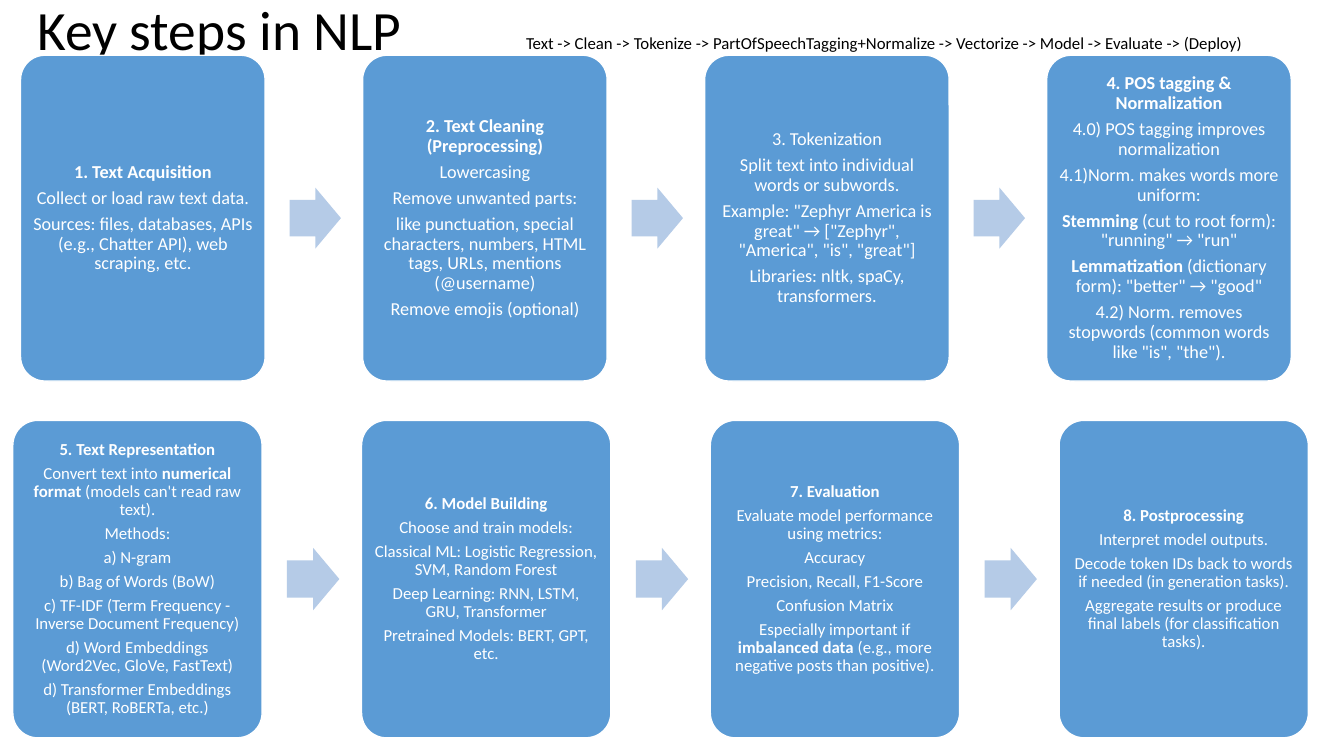
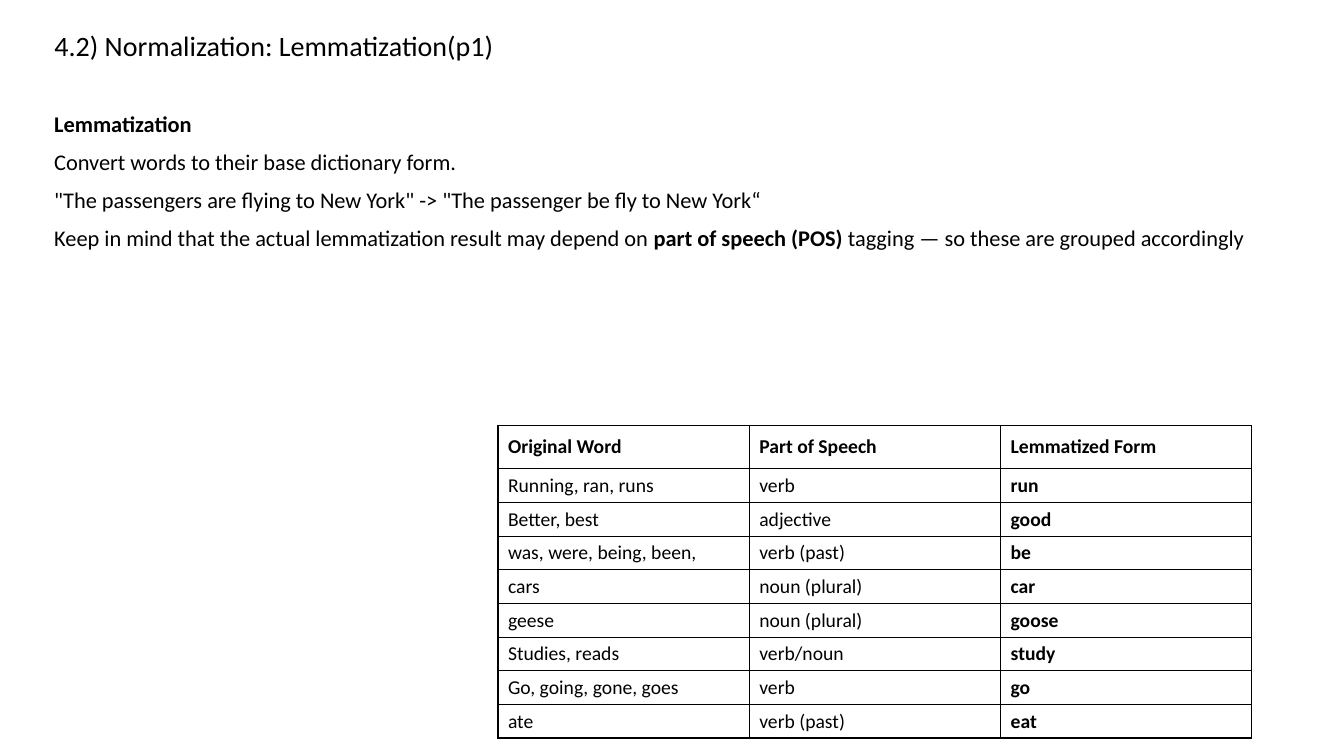
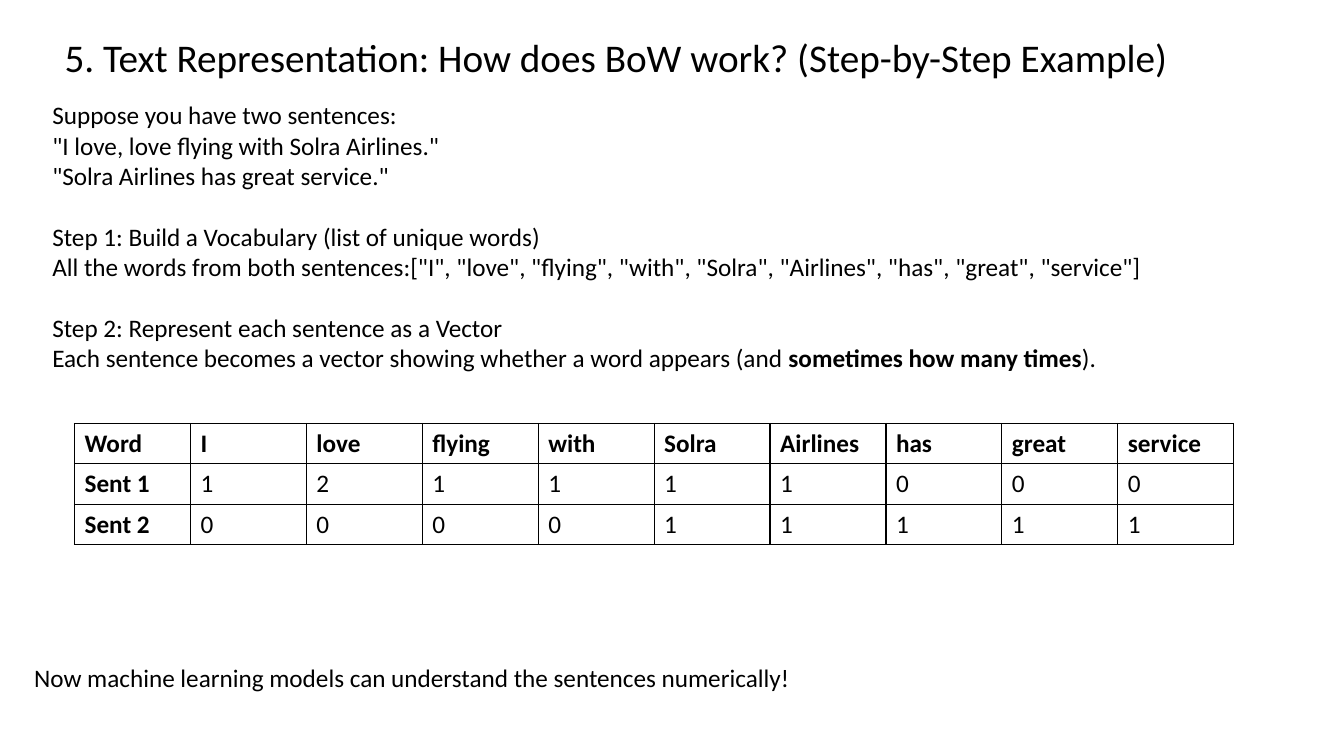
"""Build three slides on the key steps of natural language processing."""
from collections.abc import Sequence
from dataclasses import dataclass

from lxml import etree
from pptx import Presentation
from pptx.dml.color import RGBColor
from pptx.enum.shapes import MSO_SHAPE
from pptx.enum.text import MSO_ANCHOR, MSO_AUTO_SIZE, PP_ALIGN
from pptx.oxml.ns import qn
from pptx.slide import Slide
from pptx.table import _Cell
from pptx.text.text import TextFrame
from pptx.util import Emu, Inches, Pt

LEFT, CENTER = PP_ALIGN.LEFT, PP_ALIGN.CENTER
TOP, MIDDLE = MSO_ANCHOR.TOP, MSO_ANCHOR.MIDDLE
NO_AUTOFIT = MSO_AUTO_SIZE.NONE
ROUNDED_RECTANGLE = MSO_SHAPE.ROUNDED_RECTANGLE
RIGHT_ARROW = MSO_SHAPE.RIGHT_ARROW
SLIDE_WIDTH, SLIDE_HEIGHT = Inches(13.33), Inches(7.5)
TITLE_ONLY = 5


@dataclass(frozen=True)
class Theme:
    """Colours, font and type sizes shared by the slides."""

    font: str = "Calibri"
    ink: str = "000000"
    paper: str = "FFFFFF"
    card: str = "5B9BD5"
    arrow: str = "B5CBE7"
    cover_title: float = 39.6
    example_title: float = 28
    topic_title: float = 20
    example: float = 18
    body: float = 16
    table: float = 14
    first_steps: float = 13
    small: float = 12
    tight: float = 0.9


THEME = Theme()


@dataclass(frozen=True)
class Box:
    """A place on the slide, in percent of its width and height."""

    left: float
    top: float
    width: float
    height: float

    def lengths(self) -> tuple[Emu, Emu, Emu, Emu]:
        """Return left, top, width and height as slide lengths."""
        return (across(self.left), down(self.top),
                across(self.width), down(self.height))


@dataclass(frozen=True)
class StepRow:
    """A row of step cards joined by arrows."""

    first: Box
    pitch: float
    size: float
    cards: tuple[tuple[str, ...], ...]


@dataclass(frozen=True)
class Grid:
    """A bordered table with a bold header and one bold column."""

    box: Box
    header_height: float
    row_height: float
    size: float
    bold_column: int
    rows: tuple[Sequence[str], ...]


STEP_ROWS = (
    StepRow(Box(1.53, 7.3, 18.2, 43.1), 25.45, THEME.first_steps, (
        ("**1. Text Acquisition**",
         "Collect or load raw text data.",
         "Sources: files, databases, APIs (e.g., Chatter API), web scraping, etc."),
        ("**2. Text Cleaning (Preprocessing)**",
         "Lowercasing",
         "Remove unwanted parts:",
         "like punctuation, special characters, numbers, HTML tags, URLs, "
         "mentions (@username)",
         "Remove emojis (optional)"),
        ("3. Tokenization",
         "Split text into individual words or subwords.",
         'Example: "Zephyr America is great" → ["Zephyr", "America", "is", "great"]',
         "Libraries: nltk, spaCy, transformers."),
        ("**4. POS tagging & Normalization**",
         "4.0) POS tagging improves normalization",
         "4.1)Norm. makes words more uniform:",
         '**Stemming** (cut to root form): "running" → "run"',
         '**Lemmatization** (dictionary form): "better" → "good"',
         '4.2) Norm. removes stopwords (common words like "is", "the").'),
    )),
    StepRow(Box(0.95, 55.6, 18.55, 42), 25.95, THEME.small, (
        ("**5. Text Representation**",
         "Convert text into **numerical format** (models can't read raw text).",
         "Methods:",
         "a) N-gram",
         "b) Bag of Words (BoW)",
         "c) TF-IDF (Term Frequency - Inverse Document Frequency)",
         "d) Word Embeddings (Word2Vec, GloVe, FastText)",
         "d) Transformer Embeddings (BERT, RoBERTa, etc.)"),
        ("**6. Model Building**",
         "Choose and train models:",
         "Classical ML: Logistic Regression, SVM, Random Forest",
         "Deep Learning: RNN, LSTM, GRU, Transformer",
         "Pretrained Models: BERT, GPT, etc."),
        ("**7. Evaluation**",
         "Evaluate model performance using metrics:",
         "Accuracy",
         "Precision, Recall, F1-Score",
         "Confusion Matrix",
         "Especially important if **imbalanced data** "
         "(e.g., more negative posts than positive)."),
        ("**8. Postprocessing**",
         "Interpret model outputs.",
         "Decode token IDs back to words if needed (in generation tasks).",
         "Aggregate results or produce final labels (for classification tasks)."),
    )),
)

LEMMA_GRID = Grid(Box(37.05, 56.27, 56.1, 41.35), 5.75, 4.45, THEME.table, 2, (
    ("Original Word", "Part of Speech", "Lemmatized Form"),
    ("Running, ran, runs", "verb", "run"),
    ("Better, best", "adjective", "good"),
    ("was, were, being, been,", "verb (past)", "be"),
    ("cars", "noun (plural)", "car"),
    ("geese", "noun (plural)", "goose"),
    ("Studies, reads", "verb/noun", "study"),
    ("Go, going, gone, goes", "verb", "go"),
    ("ate", "verb (past)", "eat"),
))

VECTOR_GRID = Grid(Box(5.55, 56, 86.25, 16.05), 5.35, 5.35, THEME.example, 0, (
    ("Word", "I", "love", "flying", "with", "Solra", "Airlines", "has", "great",
     "service"),
    ("Sent 1", *"121111000"),
    ("Sent 2", *"000011111"),
))


def across(percent: float) -> Emu:
    """Turn a percentage of the slide width into a length."""
    return Emu(round(SLIDE_WIDTH * percent / 100))


def down(percent: float) -> Emu:
    """Turn a percentage of the slide height into a length."""
    return Emu(round(SLIDE_HEIGHT * percent / 100))


def write_text(frame: TextFrame, paragraphs: Sequence[str], *, size: float,
               color: str = THEME.ink, align: PP_ALIGN = LEFT,
               line_spacing: float = 1.0, space_before: float = 0,
               space_after: float = 0, section_starts: Sequence[int] = (),
               section_gap: float = 0) -> None:
    """Write paragraphs, setting the parts between double asterisks in bold."""
    for index, text in enumerate(paragraphs):
        paragraph = frame.add_paragraph() if index else frame.paragraphs[0]
        paragraph.alignment = align
        paragraph.line_spacing = line_spacing
        gap = section_gap if index in section_starts else space_before
        paragraph.space_before = Pt(gap if index else 0)
        paragraph.space_after = Pt(space_after)
        for part, content in enumerate(text.split("**")):
            if content:
                run = paragraph.add_run()
                run.text = content
                run.font.name = THEME.font
                run.font.size = Pt(size)
                run.font.bold = part % 2 == 1
                run.font.color.rgb = RGBColor.from_string(color)


def add_titled_slide(presentation: Presentation, title: str, box: Box,
                     size: float) -> Slide:
    """Add a slide and place its title."""
    slide = presentation.slides.add_slide(presentation.slide_layouts[TITLE_ONLY])
    shape = slide.shapes.title
    shape.left, shape.top, shape.width, shape.height = box.lengths()
    shape.text_frame.auto_size = NO_AUTOFIT
    shape.text_frame.word_wrap = True
    shape.text_frame.vertical_anchor = MIDDLE
    write_text(shape.text_frame, [title], size=size, line_spacing=THEME.tight)
    return slide


def add_text(slide: Slide, box: Box, paragraphs: Sequence[str], *,
             wrap: bool = True, **text_format) -> None:
    """Add a text box."""
    frame = slide.shapes.add_textbox(*box.lengths()).text_frame
    frame.word_wrap = wrap
    frame.vertical_anchor = TOP
    write_text(frame, paragraphs, **text_format)


def add_card(slide: Slide, box: Box, paragraphs: Sequence[str],
             size: float) -> None:
    """Add a rounded card holding one step."""
    shape = slide.shapes.add_shape(ROUNDED_RECTANGLE, *box.lengths())
    shape.adjustments[0] = 0.1
    shape.shadow.inherit = False
    shape.fill.solid()
    shape.fill.fore_color.rgb = RGBColor.from_string(THEME.card)
    shape.line.color.rgb = RGBColor.from_string(THEME.paper)
    shape.line.width = Pt(1)
    frame = shape.text_frame
    frame.word_wrap = True
    frame.vertical_anchor = MIDDLE
    frame.margin_left = frame.margin_right = Inches(0.05)
    frame.margin_top = frame.margin_bottom = Inches(0.05)
    write_text(frame, paragraphs, size=size, color=THEME.paper, align=CENTER,
               line_spacing=THEME.tight, space_after=0.35 * size)


def add_arrow(slide: Slide, card: Box) -> None:
    """Add the arrow that leads on from a card, sized by the card's width."""
    left, top, width, height = card.lengths()
    arrow_height = round(0.25 * width)
    shape = slide.shapes.add_shape(
        RIGHT_ARROW, left + round(1.1 * width),
        top + (height - arrow_height) // 2, round(0.21 * width), arrow_height)
    shape.adjustments[0], shape.adjustments[1] = 0.6, 0.5
    shape.shadow.inherit = False
    shape.fill.solid()
    shape.fill.fore_color.rgb = RGBColor.from_string(THEME.arrow)
    shape.line.fill.background()


def add_step_row(slide: Slide, row: StepRow) -> None:
    """Add a row of cards with an arrow between neighbours."""
    first = row.first
    for index, paragraphs in enumerate(row.cards):
        card = Box(first.left + index * row.pitch, first.top, first.width,
                   first.height)
        add_card(slide, card, paragraphs, row.size)
        if index < len(row.cards) - 1:
            add_arrow(slide, card)


def style_cell(cell: _Cell) -> None:
    """Give a cell thin borders on all sides and a plain fill."""
    properties = cell._tc.get_or_add_tcPr()
    for side in ("lnL", "lnR", "lnT", "lnB"):
        line = etree.SubElement(properties, qn(f"a:{side}"), w=str(Pt(1)))
        fill = etree.SubElement(line, qn("a:solidFill"))
        etree.SubElement(fill, qn("a:srgbClr"), val=THEME.ink)
    cell.fill.solid()
    cell.fill.fore_color.rgb = RGBColor.from_string(THEME.paper)
    cell.vertical_anchor = MIDDLE


def add_grid(slide: Slide, grid: Grid) -> None:
    """Add a bordered table."""
    table = slide.shapes.add_table(len(grid.rows), len(grid.rows[0]),
                                   *grid.box.lengths()).table
    table.first_row = table.horz_banding = False
    for row_index, row in enumerate(grid.rows):
        table.rows[row_index].height = down(
            grid.row_height if row_index else grid.header_height)
        for column_index, text in enumerate(row):
            cell = table.cell(row_index, column_index)
            style_cell(cell)
            bold = row_index == 0 or column_index == grid.bold_column
            write_text(cell.text_frame, [f"**{text}**" if bold else text],
                       size=grid.size)


def build_steps(presentation: Presentation) -> None:
    """Build the overview of the eight steps."""
    slide = add_titled_slide(presentation, "Key steps in NLP",
                             Box(2.03, 1.6, 30.75, 5.33), THEME.cover_title)
    add_text(slide, Box(38.4, 3.73, 55.43, 4),
             ["Text -> Clean -> Tokenize -> PartOfSpeechTagging+Normalize -> "
              "Vectorize -> Model -> Evaluate -> (Deploy)"],
             wrap=False, size=THEME.small)
    for row in STEP_ROWS:
        add_step_row(slide, row)


def build_lemmatization(presentation: Presentation) -> None:
    """Build the lemmatization slide."""
    slide = add_titled_slide(presentation, "4.2) Normalization: Lemmatization(p1)",
                             Box(3.3, 2.8, 49.65, 7.07), THEME.topic_title)
    add_text(slide, Box(3.3, 14.27, 91.6, 40.93), [
        "**Lemmatization**",
        "Convert words to their base dictionary form.",
        '"The passengers are flying to New York" -> '
        '"The passenger be fly to New York“',
        "Keep in mind that the actual lemmatization result may depend on "
        "**part of speech (POS)** tagging — so these are grouped accordingly",
    ], size=THEME.body, line_spacing=THEME.tight, space_before=10)
    add_grid(slide, LEMMA_GRID)


def build_bag_of_words(presentation: Presentation) -> None:
    """Build the worked bag-of-words example."""
    slide = add_titled_slide(
        presentation,
        "5. Text Representation: How does BoW work? (Step-by-Step Example)",
        Box(4.05, 2.93, 87.53, 10), THEME.example_title)
    add_text(slide, Box(3.15, 12.53, 96.6, 37.73), [
        "Suppose you have two sentences:",
        '"I love, love flying with Solra Airlines."',
        '"Solra Airlines has great service."',
        "Step 1: Build a Vocabulary (list of unique words)",
        'All the words from both sentences:["I", "love", "flying", "with", '
        '"Solra", "Airlines", "has", "great", "service"]',
        "Step 2: Represent each sentence as a Vector",
        "Each sentence becomes a vector showing whether a word appears "
        "(and **sometimes how many times**).",
    ], size=THEME.example, section_starts=(3, 5), section_gap=22)
    add_grid(slide, VECTOR_GRID)
    add_text(slide, Box(1.8, 86.93, 58.43, 5.33),
             ["Now machine learning models can understand the sentences "
              "numerically!"], wrap=False, size=THEME.example)


def main() -> None:
    """Build and save the presentation."""
    presentation = Presentation()
    presentation.slide_width = SLIDE_WIDTH
    presentation.slide_height = SLIDE_HEIGHT
    build_steps(presentation)
    build_lemmatization(presentation)
    build_bag_of_words(presentation)
    presentation.save("out.pptx")


if __name__ == "__main__":
    main()
